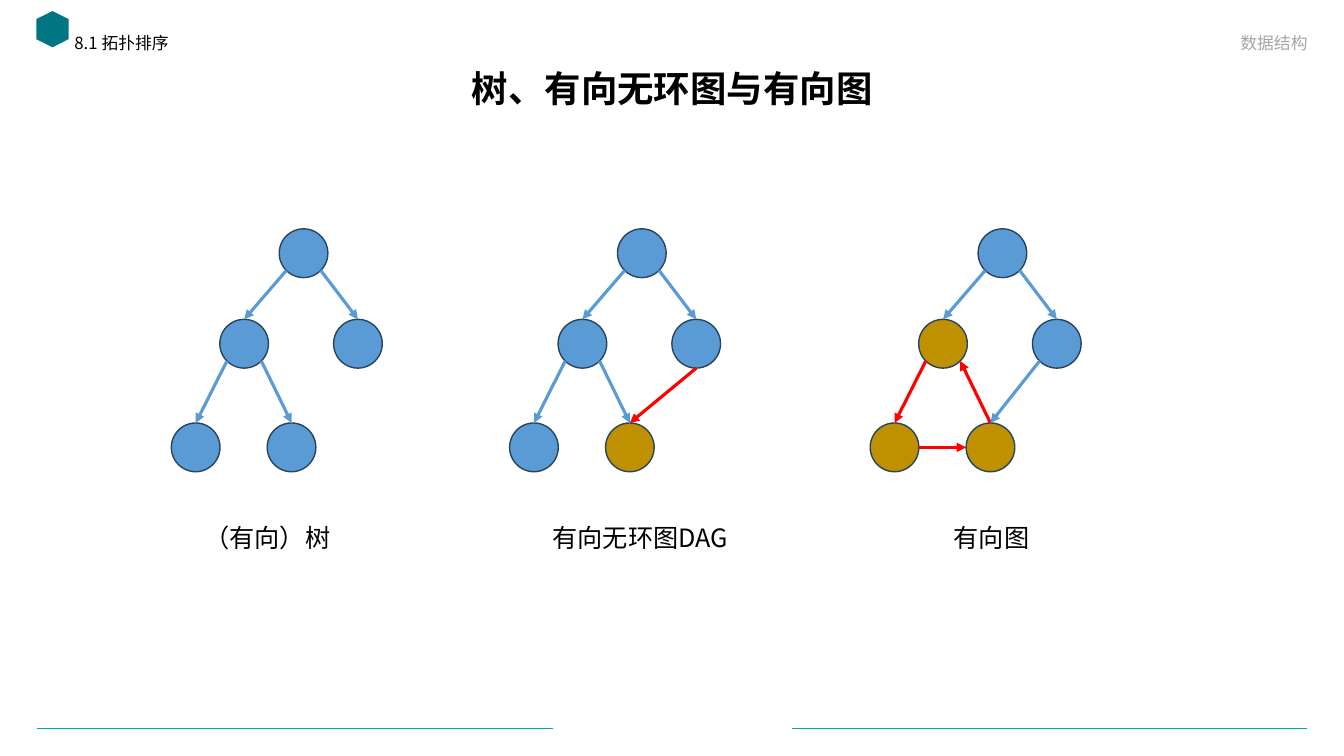
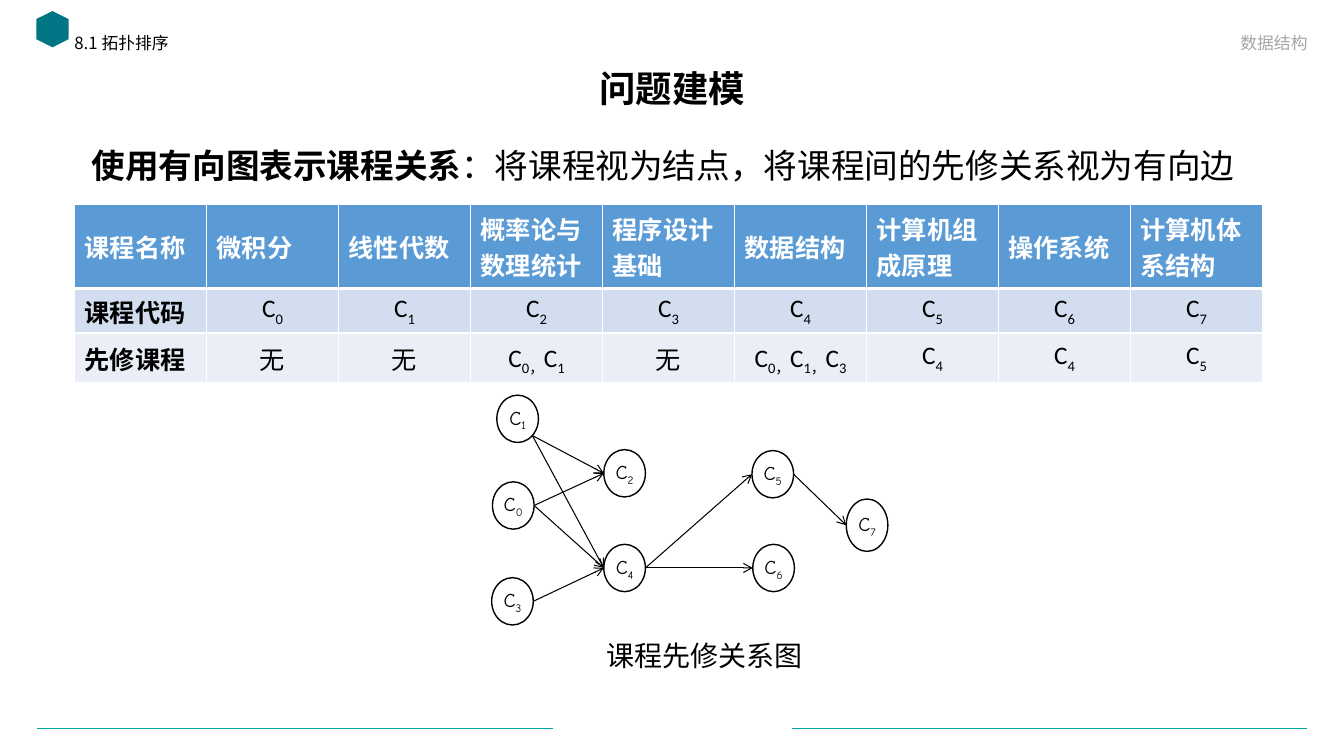
from math import cos, radians, sin

from lxml.etree import SubElement
from pptx import Presentation
from pptx.dml.color import RGBColor
from pptx.enum.shapes import MSO_CONNECTOR as Conn, MSO_SHAPE as Kind
from pptx.enum.text import MSO_ANCHOR as Anchor, PP_ALIGN as Align
from pptx.oxml.ns import qn
from pptx.util import Inches, Pt

WIDE, HIGH = Inches(13.33), Inches(7.5)
PAGE = (0, 0, WIDE, HIGH)
HUES = {
    "teal": "00ABA5", "deep": "007684", "black": "000000", "white": "FFFFFF",
    "grey": "A6A6A6", "blue": "5B9BD5", "gold": "BF9000", "red": "FF0000",
    "rim": "28445D", "pale": "D2DEEF", "mist": "EAEFF7",
}
SANS, LATIN, COMIC = "Noto Sans CJK SC", "Calibri", "Comic Neue"
LOW = "-25000"

SPOTS = [(51.2, 0), (23, 37.3), (77, 37.3), (0, 80), (45.5, 80)]
STEMS = [(0, 1, 135, -90, "blue"), (0, 2, 45, -90, "blue")]
LEAVES = [(1, 3, 135, -90, "blue"), (1, 4, 45, -90, "blue")]
CYCLE = [(1, 3, 135, -90, "red"), (4, 1, -90, 45, "red"),
         (3, 4, 0, 180, "red"), (2, 4, 135, -90, "blue")]
TREES = [
    (12.75, "（有向）树", 45.5, (), STEMS + LEAVES),
    (37.92, "有向无环图DAG", 62, (4,), STEMS + LEAVES + [(2, 4, 90, -90, "red")]),
    (64.75, "有向图", 57.5, (1, 3, 4), STEMS + CYCLE),
]
ROWS = [
    ["课程名称", "微积分", "线性代数", "概率论与数理统计", "程序设计基础",
     "数据结构", "计算机组成原理", "操作系统", "计算机体系结构"],
    ["课程代码"] + [f"C{i}" for i in range(8)],
    ["先修课程", "无", "无", "C0，C1", "无", "C0，C1，C3", "C4", "C4", "C5"],
]
COURSES = [(5.4, 48), (6.5, 10.3), (33.5, 34), (5.2, 89.7),
           (33.5, 75.2), (70.9, 34.4), (71.1, 75.2), (94.7, 56.6)]
LINKS = [(0, 2, 0), (0, 4, 0), (1, 2, 45), (1, 4, 45), (3, 4, 0),
         (4, 5, 0), (4, 6, 0), (5, 7, 0)]


def hue(name):
    """Return the named colour."""
    return RGBColor.from_string(HUES[name])


def part(box, x, y, w, h):
    """Return a box at percent shares of another box."""
    left, top, wide, high = box
    return (int(left + wide * x / 100), int(top + high * y / 100),
            int(wide * w / 100), int(high * h / 100))


def style(run, size, color="black", bold=False, face=SANS, base=None):
    """Format one run."""
    font = run.font
    font.size, font.bold, font.name = Pt(size), bold, face
    font.color.rgb = hue(color)
    props = run._r.get_or_add_rPr()
    SubElement(props, qn("a:ea"), typeface=SANS)
    if base:
        props.set("baseline", base)


def code(para, text, **look):
    """Write course codes with lowered numbers."""
    for low in text.split("C")[1:]:
        for bit, base in (("C", None), (low, LOW)):
            run = para.add_run()
            run.text = bit
            style(run, base=base, **look)


def write(slide, box, text, size, align=Align.LEFT, anchor=Anchor.TOP,
          space=1.0, pad=True, **look):
    """Add a text box of one paragraph and return the paragraph."""
    frame = slide.shapes.add_textbox(*box).text_frame
    frame.word_wrap, frame.vertical_anchor = True, anchor
    if not pad:
        frame.margin_left = frame.margin_right = 0
        frame.margin_top = frame.margin_bottom = 0
    frame.text = text
    para = frame.paragraphs[0]
    para.alignment, para.line_spacing = align, space
    style(para.runs[0], size, **look)
    return para


def form(slide, kind, box, fill, edge=None):
    """Add a flat preset shape."""
    shape = slide.shapes.add_shape(kind, *box)
    shape.shadow.inherit = False
    shape.fill.solid()
    shape.fill.fore_color.rgb = hue(fill)
    if edge:
        shape.line.color.rgb = hue(edge)
        shape.line.width = Pt(1)
    else:
        shape.line.fill.background()
    return shape


def rule(slide, start, end, color, width, head=None):
    """Draw a straight line, with an arrowhead if one is named."""
    line = slide.shapes.add_connector(Conn.STRAIGHT, *start, *end)
    line.line.color.rgb = hue(color)
    line.line.width = Pt(width)
    if head:
        SubElement(line.line._get_or_add_ln(), qn("a:tailEnd"), type=head)
    SubElement(line._element.spPr, qn("a:effectLst"))
    line._element.remove(line._element.find(qn("p:style")))


def rim(oval, turn):
    """Return the point on an oval at an angle, clockwise from the right."""
    angle = radians(turn)
    return (int(oval.left + oval.width * (1 + cos(angle)) / 2),
            int(oval.top + oval.height * (1 + sin(angle)) / 2))


def base(deck, title):
    """Add a slide with the shared marks and its title."""
    slide = deck.slides.add_slide(deck.slide_layouts[6])
    for x in (2.78, 58.9):
        left, top, wide, _ = part(PAGE, x, 96.33, 38.35, 0)
        rule(slide, (left, top), (left + wide, top), "teal", 0.5)
    mark = form(slide, Kind.HEXAGON, part(PAGE, 2.55, 1.73, 2.7, 4.27), "deep")
    mark.rotation = 90
    write(slide, part(PAGE, 6.9, 8.27, 86.25, 7.6), title, 26,
          Align.CENTER, Anchor.MIDDLE, 0.9, bold=True)
    write(slide, part(PAGE, 4.8, 4, 39.9, 4.8), "8.1 拓扑排序", 12, space=0.9)
    write(slide, part(PAGE, 55.73, 2.93, 42.3, 4.67), "数据结构", 12,
          Align.RIGHT, Anchor.BOTTOM, color="grey")
    return slide


def tree(slide, box, label, mid, gold, edges):
    """Draw a graph of five nodes with a label below."""
    nodes = [form(slide, Kind.OVAL, part(box, x, y, 23.1, 20.1),
                  "gold" if i in gold else "blue", "rim")
             for i, (x, y) in enumerate(SPOTS)]
    for a, b, out, into, color in edges:
        rule(slide, rim(nodes[a], out), rim(nodes[b], into), color, 2.25, "triangle")
    write(slide, part(box, mid - 70, 119, 140, 16.6), label, 18, Align.CENTER)


def edge(cell, low):
    """Give a cell white borders with the bottom width in points."""
    props = cell._tc.get_or_add_tcPr()
    for side, width in (("L", 1), ("R", 1), ("T", 1), ("B", low)):
        line = SubElement(props, qn(f"a:ln{side}"), w=str(Pt(width)))
        fill = SubElement(line, qn("a:solidFill"))
        SubElement(fill, qn("a:srgbClr"), val=HUES["white"])


def table(slide, box):
    """Add the course table."""
    grid = slide.shapes.add_table(len(ROWS), len(ROWS[0]), *box).table
    for row, share in zip(grid.rows, (0.47, 0.25, 0.28)):
        row.height = int(box[3] * share)
    for r, (row, fill) in enumerate(zip(ROWS, ("blue", "pale", "mist"))):
        for c, text in enumerate(row):
            cell = grid.cell(r, c)
            edge(cell, 1 if r else 3)
            cell.fill.solid()
            cell.fill.fore_color.rgb = hue(fill)
            cell.vertical_anchor = Anchor.MIDDLE
            para = cell.text_frame.paragraphs[0]
            para.alignment = Align.CENTER if r and c else Align.LEFT
            if text.startswith("C"):
                cell.margin_left = cell.margin_right = Inches(0.02)
                code(para, text, size=18, face=LATIN)
            else:
                para.text = text
                style(para.runs[0], 18, "black" if r else "white",
                      not (r and c), LATIN)


def graph(slide, box):
    """Draw the graph of courses."""
    nodes = []
    for i, (x, y) in enumerate(COURSES):
        high = 22.8 if i == 7 else 20.6
        spot = part(box, x - 5.25, y - high / 2, 10.5, high)
        node = form(slide, Kind.OVAL, spot, "white", "black")
        frame = node.text_frame
        frame.margin_left = frame.margin_right = 0
        frame.margin_top = frame.margin_bottom = 0
        frame.word_wrap, frame.vertical_anchor = False, Anchor.MIDDLE
        para = frame.paragraphs[0]
        para.alignment = Align.CENTER
        code(para, f"C{i}", size=14, face=COMIC)
        nodes.append(node)
    for a, b, out in LINKS:
        rule(slide, rim(nodes[a], out), rim(nodes[b], 180), "black", 0.75, "arrow")


def kinds(deck):
    """Build the slide that compares three graphs."""
    slide = base(deck, "树、有向无环图与有向图")
    for x, *rest in TREES:
        tree(slide, part(PAGE, x, 30.27, 15.68, 32.1), *rest)


def model(deck):
    """Build the slide that models courses as a graph."""
    slide = base(deck, "问题建模")
    para = write(slide, part(PAGE, 6.08, 18, 90.68, 8), "使用有向图表示课程关系",
                 24, space=1.1, bold=True)
    run = para.add_run()
    run.text = "：将课程视为结点，将课程间的先修关系视为有向边"
    style(run, 24)
    table(slide, part(PAGE, 5.55, 27.07, 88.4, 23.6))
    graph(slide, part(PAGE, 36.6, 52.27, 29.48, 30.4))
    write(slide, part(PAGE, 30.6, 84.4, 43.65, 4.53), "课程先修关系图", 20,
          Align.CENTER, pad=False)


def main():
    """Build and save the deck."""
    deck = Presentation()
    deck.slide_width, deck.slide_height = WIDE, HIGH
    kinds(deck)
    model(deck)
    deck.save("out.pptx")


if __name__ == "__main__":
    main()
